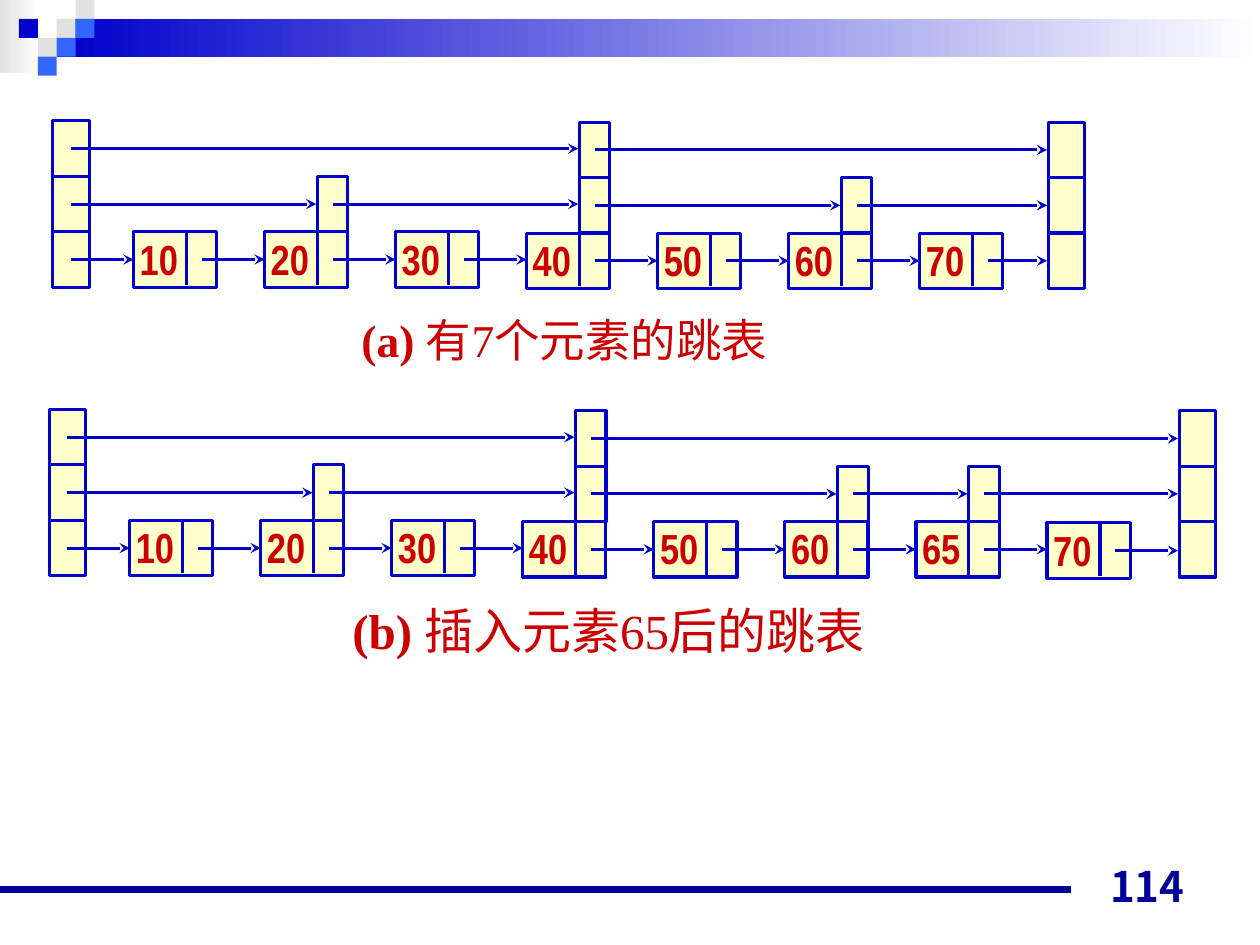
"""Build a slide showing a skip list before and after inserting element 65."""
import pptx
import pptx.dml.color
import pptx.enum.shapes
import pptx.enum.text
import pptx.oxml
import pptx.oxml.ns
import pptx.util
from pptx.util import Inches

THEME = {
    "navy": "000099", "blue": "0000CC", "sky": "3366FF", "grey": "E1E1E1",
    "white": "FFFFFF", "cream": "FFFFCC", "red": "CC0000",
    "stroke": 1.75, "rule": 4.5, "key": 24, "caption_a": 26, "caption_b": 28, "page": 24,
    "key_font": "Arial Narrow", "caption_font": "Times New Roman", "cjk_font": "Noto Sans CJK JP",
}
COLOR = {name: pptx.dml.color.RGBColor.from_string(THEME[name])
         for name in ("navy", "blue", "sky", "grey", "white", "cream", "red")}
RECTANGLE = pptx.enum.shapes.MSO_SHAPE.RECTANGLE
ALIGN = pptx.enum.text.PP_ALIGN


def add_line(shapes, start, end, color, width, arrow=False):
    line = shapes.add_connector(pptx.enum.shapes.MSO_CONNECTOR.STRAIGHT,
                                *(Inches(value) for value in start + end))
    line.line.color.rgb = COLOR[color]
    line.line.width = pptx.util.Pt(width)
    properties = line._element.spPr
    if arrow:
        tail = pptx.oxml.parse_xml(f'<a:tailEnd {pptx.oxml.ns.nsdecls("a")} type="stealth"/>')
        line.line._get_or_add_ln().append(tail)
    properties.append(pptx.oxml.parse_xml(f'<a:effectLst {pptx.oxml.ns.nsdecls("a")}/>'))


def add_text(shapes, place, runs, size, font, color, align):
    frame = shapes.add_textbox(*(Inches(value) for value in place)).text_frame
    frame.word_wrap = True
    paragraph = frame.paragraphs[0]
    paragraph.alignment = align
    for words, bold in runs:
        run = paragraph.add_run()
        run.text = words
        run.font.size = pptx.util.Pt(size)
        run.font.name = font
        run.font.bold = bold
        run.font.color.rgb = COLOR[color]
        east_asian = pptx.oxml.parse_xml(
            f'<a:ea {pptx.oxml.ns.nsdecls("a")} typeface="{THEME["cjk_font"]}"/>')
        run.font._element.append(east_asian)
    return frame


presentation = pptx.Presentation()
presentation.slide_width = Inches(10)
presentation.slide_height = Inches(7.5)
slide = presentation.slides.add_slide(presentation.slide_layouts[6])

header = slide.shapes.add_group_shape().shapes
for place, color in (((0, 0, 0.31, 0.58), "grey"), ((0.45, 0.15, 9.55, 0.3), "blue")):
    band = header.add_shape(RECTANGLE, *(Inches(value) for value in place))
    band.shadow.inherit = False
    band.line.fill.background()
    band.fill.gradient()
    band.fill.gradient_angle = 180
    for stop, stop_color in zip(band.fill.gradient_stops, ("white", color)):
        stop.color.rgb = COLOR[stop_color]

SQUARE = 0.15
for column, row, color in ((3, 1, "grey"), (4, 0, "grey"), (4, 1, "sky"), (2, 2, "grey"),
                           (1, 1, "blue"), (3, 2, "sky"), (2, 3, "sky")):
    square = header.add_shape(RECTANGLE, Inches(column * SQUARE), Inches(row * SQUARE),
                              Inches(SQUARE), Inches(SQUARE))
    square.shadow.inherit = False
    square.line.fill.background()
    square.fill.solid()
    square.fill.fore_color.rgb = COLOR[color]

add_line(slide.shapes, (0, 7.06), (8.5, 7.06), "navy", THEME["rule"])

PITCH, NODE_WIDTH, KEY_WIDTH, CELL_HEIGHT = 1.04, 0.66, 0.42, 0.44
POINTER_WIDTH, END_WIDTH, LEVELS = NODE_WIDTH - KEY_WIDTH, 0.29, 3
skip_lists = (
    (0.39, 4.13, 9.36, {10: 1, 20: 2, 30: 1, 40: 3, 50: 1, 60: 2, 65: 2, 70: 1}),
    (0.42, 1.84, 8.32, {10: 1, 20: 2, 30: 1, 40: 3, 50: 1, 60: 2, 70: 1}),
)
for head_left, base, tail_left, heights in skip_lists:
    diagram = slide.shapes.add_group_shape().shapes
    first_left = head_left + 0.64
    nodes = [(first_left + index * PITCH, base + (index + 1) // 4 * 0.01, key, height)
             for index, (key, height) in enumerate(heights.items())]
    towers = [(head_left, base, END_WIDTH, LEVELS)]
    towers += [(left + KEY_WIDTH, top, POINTER_WIDTH, height) for left, top, key, height in nodes]
    towers.append((tail_left, base + 0.01, END_WIDTH, LEVELS))

    cells = [(left, top, NODE_WIDTH) for left, top, key, height in nodes]
    cells += [(left, top - level * CELL_HEIGHT, width)
              for left, top, width, height in towers
              for level in range(height) if level or width == END_WIDTH]
    for left, top, width in cells:
        cell = diagram.add_shape(RECTANGLE, Inches(left), Inches(top),
                                 Inches(width), Inches(CELL_HEIGHT))
        cell.shadow.inherit = False
        cell.fill.solid()
        cell.fill.fore_color.rgb = COLOR["cream"]
        cell.line.color.rgb = COLOR["blue"]
        cell.line.width = pptx.util.Pt(THEME["stroke"])

    for left, top, key, height in nodes:
        divider = left + KEY_WIDTH
        add_line(diagram, (divider, top), (divider, top + 0.42), "blue", THEME["stroke"])
        add_text(diagram, (left - 0.05, top - 0.04, 0.6, 0.58), [(str(key), True)],
                 THEME["key"], THEME["key_font"], "red", ALIGN.JUSTIFY)

    for level in range(LEVELS):
        linked = [tower for tower in towers if tower[3] > level]
        for (left, top, width, _), (target, _, target_width, _) in zip(linked, linked[1:]):
            height = top + (0.5 - level) * CELL_HEIGHT
            inside_node = level == 0 and target_width == POINTER_WIDTH
            end = target - KEY_WIDTH if inside_node else target - 0.01
            add_line(diagram, (left + width / 2, height), (end, height),
                     "blue", THEME["stroke"], arrow=True)

add_text(slide.shapes, (2.77, 2.43, 3.52, 0.57), [("(a) ", True), ("有7个元素的跳表", False)],
         THEME["caption_a"], THEME["caption_font"], "red", ALIGN.JUSTIFY)
add_text(slide.shapes, (2.25, 4.72, 5.16, 0.61), [("(b) ", True), ("插入元素65后的跳表", False)],
         THEME["caption_b"], THEME["caption_font"], "red", ALIGN.CENTER)
page_number = add_text(slide.shapes, (7.17, 6.78, 2.33, 0.5), [("114", True)],
                       THEME["page"], THEME["cjk_font"], "navy", ALIGN.RIGHT)
page_number.vertical_anchor = pptx.enum.text.MSO_ANCHOR.BOTTOM

presentation.save("out.pptx")
